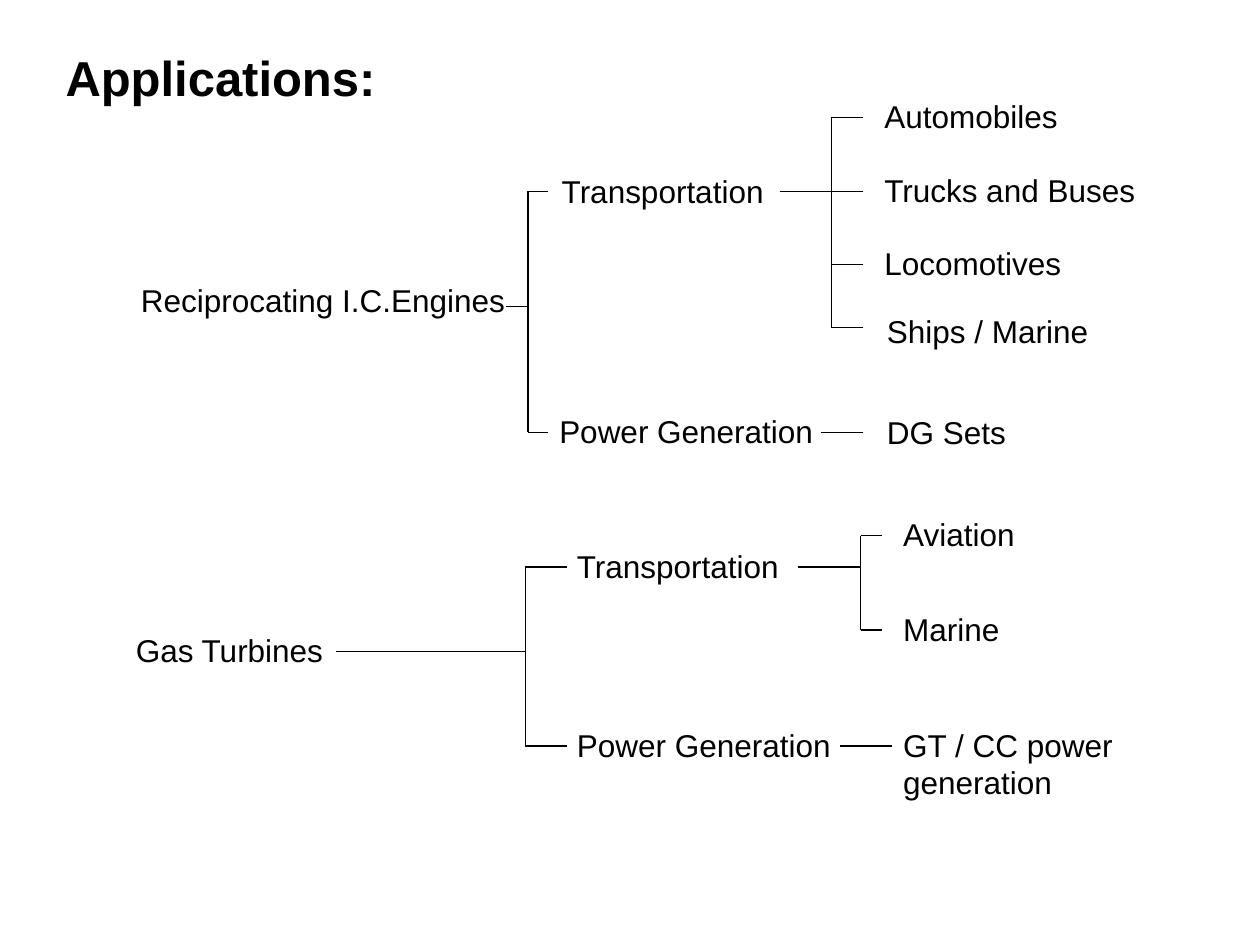
from typing import NamedTuple

from lxml.etree import SubElement
from pptx import Presentation
from pptx.dml.color import RGBColor
from pptx.enum.shapes import MSO_CONNECTOR as Conn
from pptx.enum.text import MSO_ANCHOR as Anchor, MSO_AUTO_SIZE as AutoSize, PP_ALIGN as Align
from pptx.oxml.ns import qn
from pptx.util import Inches, Pt

BLACK = "000000"
LINE_H = 0.3
SLACK = 0.04


class Label(NamedTuple):
    text: str
    x: float
    y: float
    w: float


class Bracket(NamedTuple):
    start: float
    y: float
    spine: float
    end: float
    branches: tuple[float, ...]


class Link(NamedTuple):
    start: float
    end: float
    y: float


class Tree(NamedTuple):
    labels: list[Label]
    brackets: list[Bracket]
    link: Link


TREES = [
    Tree(
        [
            Label("Reciprocating I.C.Engines", 1.02, 2.18, 3.09),
            Label("Transportation", 4.36, 1.32, 1.81),
            Label("Power Generation", 4.34, 3.22, 2.21),
            Label("Automobiles", 6.92, 0.72, 1.64),
            Label("Trucks and Buses", 6.92, 1.31, 2.2),
            Label("Locomotives", 6.92, 1.89, 1.6),
            Label("Ships / Marine", 6.94, 2.43, 1.8),
            Label("DG Sets", 6.94, 3.23, 1.14),
        ],
        [
            Bracket(4.02, 2.43, 4.19, 4.35, (1.52, 3.43)),
            Bracket(6.19, 1.52, 6.6, 6.85, (0.93, 1.52, 2.1, 2.6)),
        ],
        Link(6.52, 6.85, 3.43),
    ),
    Tree(
        [
            Label("Gas Turbines", 0.98, 4.96, 1.7),
            Label("Transportation", 4.48, 4.29, 1.81),
            Label("Power Generation", 4.48, 5.71, 2.21),
            Label("Aviation", 7.07, 4.04, 1.09),
            Label("Marine", 7.07, 4.79, 0.96),
            Label("GT / CC power\ngeneration", 7.07, 5.71, 1.86),
        ],
        [
            Bracket(2.67, 5.17, 4.17, 4.5, (4.5, 5.92)),
            Bracket(6.33, 4.5, 6.83, 7, (4.25, 5)),
        ],
        Link(6.67, 7.08, 5.92),
    ),
]


def color(value: str) -> RGBColor:
    """Turn a hex string into a colour."""
    return RGBColor.from_string(value)


def write(tf, text: str, size: float, bold: bool = False) -> None:
    """Fill a text frame with one paragraph per line of text."""
    tf.word_wrap = False
    tf.auto_size = AutoSize.SHAPE_TO_FIT_TEXT
    tf.vertical_anchor = Anchor.TOP
    for i, line in enumerate(text.split("\n")):
        p = tf.add_paragraph() if i else tf.paragraphs[0]
        p.alignment = Align.LEFT
        p.space_before = Pt(0)
        p.line_spacing = 1.0
        r = p.add_run()
        r.text = line
        r.font.name = "Arial"
        r.font.size = Pt(size)
        r.font.bold = bold
        r.font.color.rgb = color(BLACK)


def add_title(s, text: str) -> None:
    """Place and format the slide title."""
    sp = s.shapes.title
    sp.left, sp.top = Inches(0.42), Inches(0.33)
    sp.width, sp.height = Inches(2.66), Inches(0.57)
    write(sp.text_frame, text, 28, True)


def add_label(shapes, label: Label) -> None:
    """Add one node of a tree, a little wider than its text."""
    w = label.w + SLACK
    h = 0.1 + LINE_H * len(label.text.split("\n"))
    sp = shapes.add_textbox(Inches(label.x), Inches(label.y), Inches(w), Inches(h))
    write(sp.text_frame, label.text, 18)


def add_line(shapes, x1: float, y1: float, x2: float, y2: float) -> None:
    """Add one thin straight line."""
    ln = shapes.add_connector(Conn.STRAIGHT, Inches(x1), Inches(y1), Inches(x2), Inches(y2))
    ln.line.color.rgb = color(BLACK)
    ln.line.width = Pt(0.75)
    SubElement(ln._element.spPr, qn("a:effectLst"))


def add_bracket(shapes, b: Bracket) -> None:
    """Add a stem, a spine and one tick per branch."""
    add_line(shapes, b.start, b.y, b.spine, b.y)
    add_line(shapes, b.spine, b.branches[0], b.spine, b.branches[-1])
    for y in b.branches:
        add_line(shapes, b.spine, y, b.end, y)


def add_tree(s, tree: Tree) -> None:
    """Add a grouped tree of labels and lines."""
    shapes = s.shapes.add_group_shape().shapes
    for label in tree.labels:
        add_label(shapes, label)
    for bracket in tree.brackets:
        add_bracket(shapes, bracket)
    add_line(shapes, tree.link.start, tree.link.y, tree.link.end, tree.link.y)


def main() -> None:
    """Build and save the slide."""
    prs = Presentation()
    prs.slide_width, prs.slide_height = Inches(10), Inches(7.5)
    s = prs.slides.add_slide(prs.slide_layouts[5])
    add_title(s, "Applications:")
    for tree in TREES:
        add_tree(s, tree)
    prs.save("out.pptx")


if __name__ == "__main__":
    main()
